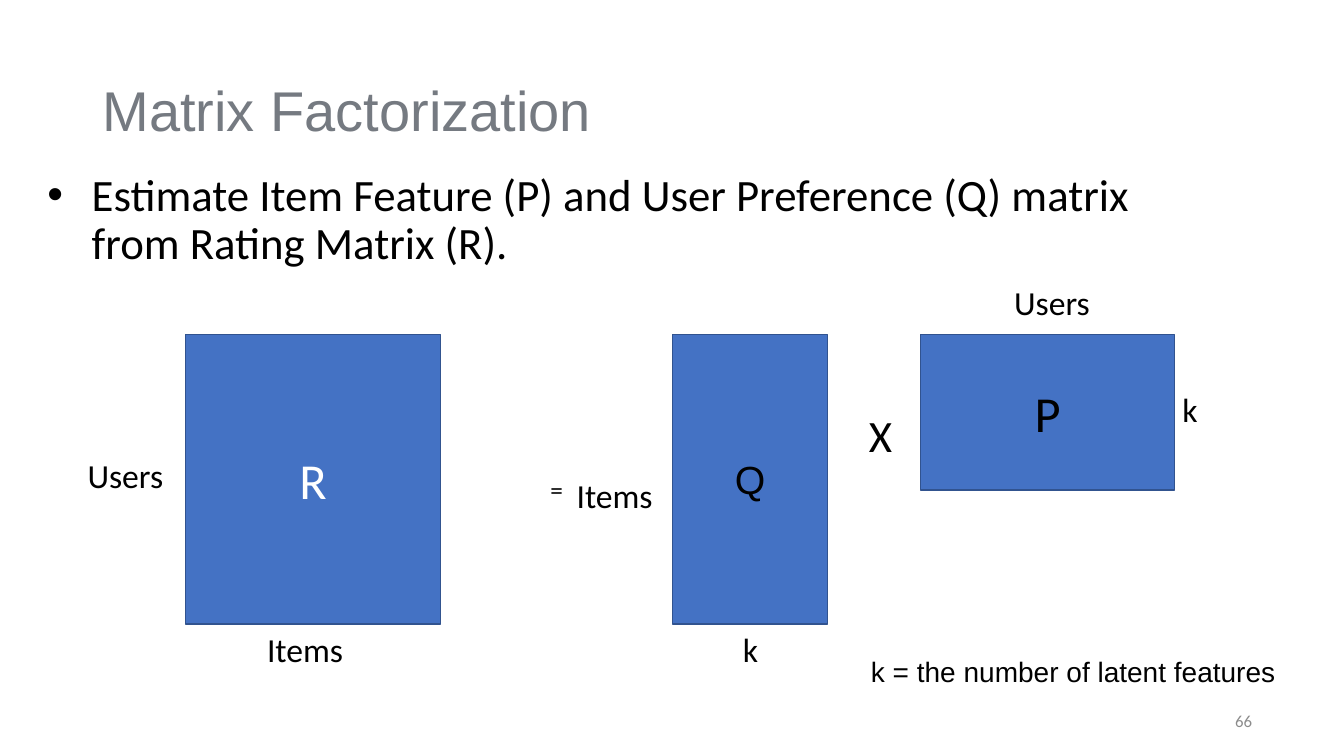
from pptx import Presentation
from pptx.dml.color import RGBColor as Color
from pptx.enum.shapes import MSO_SHAPE as Preset
from pptx.enum.text import MSO_ANCHOR as Anchor, PP_ALIGN as Align
from pptx.oxml.ns import qn
from pptx.util import Inches, Pt
from lxml.etree import SubElement

THEME = {
    "black": Color.from_string("000000"),
    "white": Color.from_string("FFFFFF"),
    "title": Color.from_string("757A81"),
    "number": Color.from_string("8C8C8C"),
    "fill": Color.from_string("4472C4"),
    "line": Color.from_string("31538F"),
    "sans": "Arial",
    "body": "Calibri",
    "title_size": Pt(40),
    "symbol_size": Pt(36),
    "lead_size": Pt(32),
    "factor_size": Pt(28),
    "label_size": Pt(24),
    "note_size": Pt(20),
    "equals_size": Pt(18),
    "number_size": Pt(12),
}
CELL = Inches(0.1)
MATRIX_TOP, MATRIX_HEIGHT, LATENT = 33.2, 28.7, 15.4
LABEL_TOP, LABEL_HEIGHT = MATRIX_TOP + MATRIX_HEIGHT, 5

deck = Presentation()
deck.slide_width, deck.slide_height = Inches(13.33), Inches(7.5)
page = deck.slides.add_slide(deck.slide_layouts[6])


def cells(*counts):
    return [round(count * CELL) for count in counts]


def write(box, text, size, font="body", color="black", frame_format=None, para_format=None):
    frame = box.text_frame
    frame.word_wrap = True
    for name, value in (frame_format or {}).items():
        setattr(frame, name, value)
    para = frame.paragraphs[0]
    for name, value in (para_format or {}).items():
        setattr(para, name, value)
    span = para.add_run()
    span.text = text
    look = {"name": THEME[font], "size": THEME[size]}
    for name, value in look.items():
        setattr(span.font, name, value)
    span.font.color.rgb = THEME[color]
    return para


no_margins = dict.fromkeys(("margin_left", "margin_top", "margin_right", "margin_bottom"), 0)
middle = {"vertical_anchor": Anchor.MIDDLE}

title = page.shapes.add_textbox(*cells(9.2, 4, 115, 14.5))
write(title, "Matrix Factorization", "title_size", "sans", "title", middle, {"line_spacing": 0.9})

lead = page.shapes.add_textbox(*cells(4.1, 17.1, 115, 11))
lead_para = write(
    lead,
    "Estimate Item Feature (P) and User Preference (Q) matrix from Rating Matrix (R).",
    "lead_size",
    frame_format=no_margins,
    para_format={"line_spacing": 0.9},
)
bullet_format = lead_para._p.get_or_add_pPr()
for name, value in {"marL": Inches(0.5), "indent": Inches(-0.44)}.items():
    bullet_format.set(name, str(value))
bullet_color = SubElement(bullet_format, qn("a:buClr"))
SubElement(bullet_color, qn("a:srgbClr"), val=str(THEME["black"]))
SubElement(bullet_format, qn("a:buFont"), typeface=THEME["sans"])
SubElement(bullet_format, qn("a:buChar"), char="•")

matrices = [
    ("R", 18.4, 25.3, MATRIX_HEIGHT, "symbol_size", "body", "white"),
    ("Q", 66.7, LATENT, MATRIX_HEIGHT, "factor_size", "sans", "black"),
    ("P", 91.3, 25.2, LATENT, "symbol_size", "body", "black"),
]
for letter, left, width, height, size, font, color in matrices:
    matrix = page.shapes.add_shape(Preset.RECTANGLE, *cells(left, MATRIX_TOP, width, height))
    matrix.shadow.inherit = False
    matrix.fill.solid()
    matrix.fill.fore_color.rgb = THEME["fill"]
    matrix.line.color.rgb = THEME["line"]
    matrix.line.width = Pt(1)
    write(matrix, letter, size, font, color, middle, {"alignment": Align.CENTER})

labels = [
    ("=", 53.6, 46.6, 4.6, 4, "equals_size"),
    ("X", 85.2, 40, 4.6, 6.4, "lead_size"),
    ("Items", 25.5, LABEL_TOP, 14.1, LABEL_HEIGHT, "label_size"),
    ("Users", 7.7, 44.6, 10.7, LABEL_HEIGHT, "label_size"),
    ("Users", 99.6, 27.5, 14.1, LABEL_HEIGHT, "label_size"),
    ("Items", 56.2, 46.6, 10.5, LABEL_HEIGHT, "label_size"),
    ("k", 116.3, 38.1, 5.4, LABEL_HEIGHT, "label_size"),
    ("k", 72.7, LABEL_TOP, 5.4, LABEL_HEIGHT, "label_size"),
]
for text, left, top, width, height, size in labels:
    write(page.shapes.add_textbox(*cells(left, top, width, height)), text, size)

note = page.shapes.add_textbox(*cells(85.4, 64.4, 42.4, 4.4))
write(note, "k = the number of latent features", "note_size", "sans", frame_format={"word_wrap": False})

number = page.shapes.add_textbox(*cells(94.2, 69.5, 30, 4))
write(number, "66", "number_size", "body", "number", no_margins | middle, {"alignment": Align.RIGHT})

deck.save("out.pptx")
